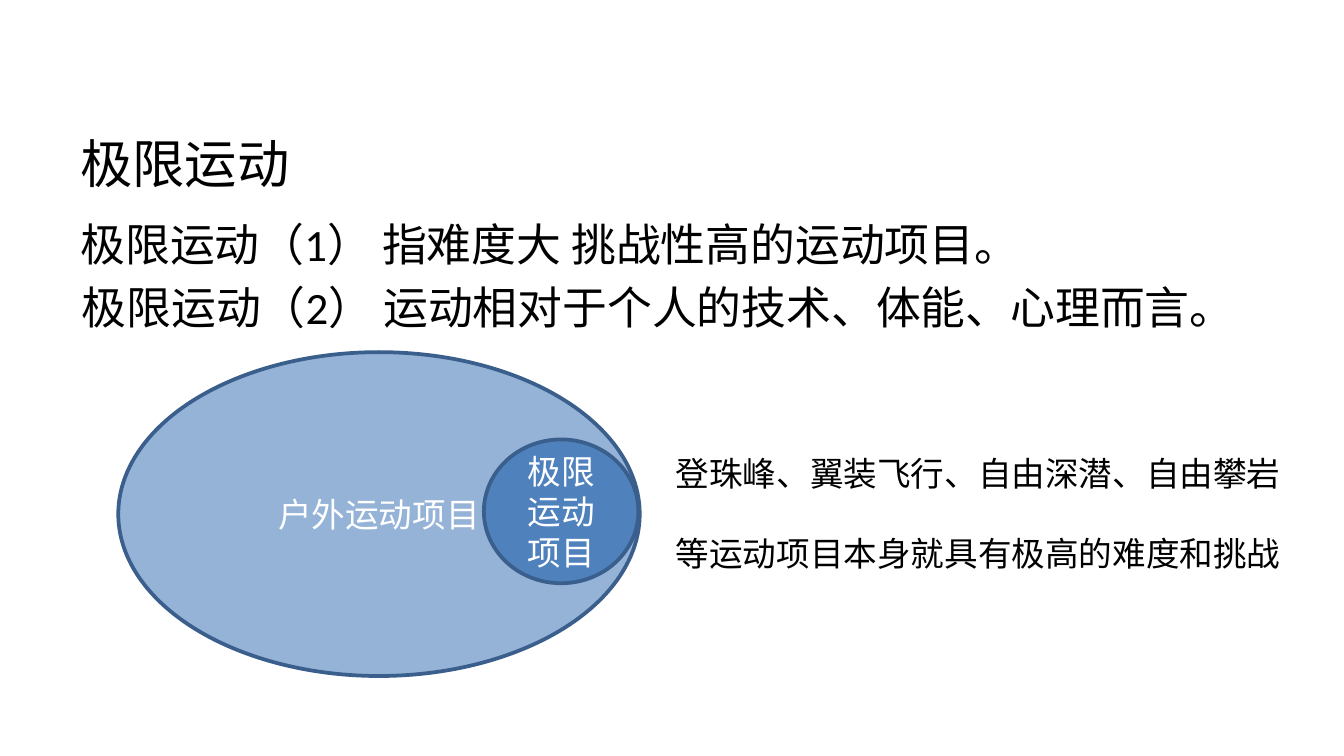
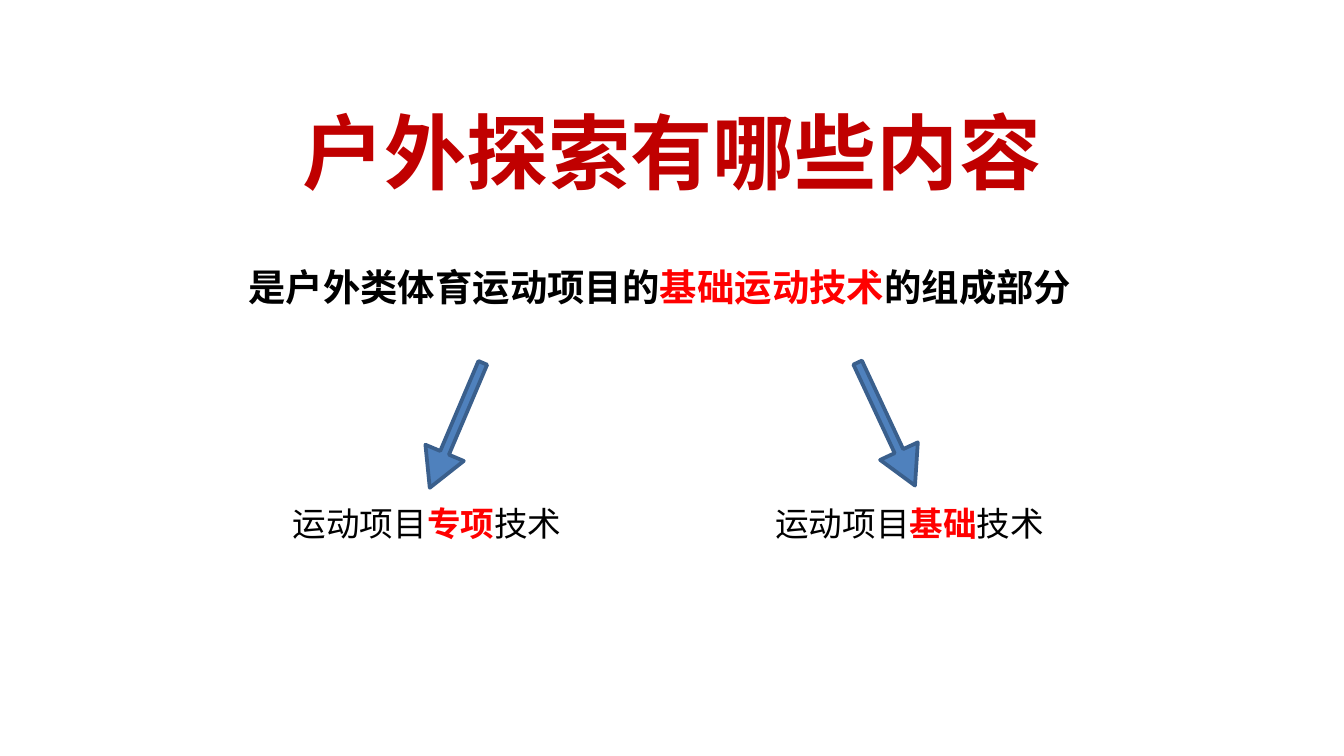
from pptx import Presentation
from pptx.dml.color import RGBColor
from pptx.enum.lang import MSO_LANGUAGE_ID
from pptx.enum.shapes import MSO_SHAPE
from pptx.enum.text import MSO_ANCHOR, MSO_AUTO_SIZE, PP_ALIGN
from pptx.oxml.ns import qn
from pptx.util import Inches, Pt

LEFT, CENTER = PP_ALIGN.LEFT, PP_ALIGN.CENTER
MIDDLE = MSO_ANCHOR.MIDDLE
FIT_SHAPE, FIT_NONE = MSO_AUTO_SIZE.SHAPE_TO_FIT_TEXT, MSO_AUTO_SIZE.NONE
OVAL, DOWN_ARROW = MSO_SHAPE.OVAL, MSO_SHAPE.DOWN_ARROW
CHINESE = MSO_LANGUAGE_ID.SIMPLIFIED_CHINESE

BLACK = RGBColor(0x00, 0x00, 0x00)
WHITE = RGBColor(0xFF, 0xFF, 0xFF)
RED = RGBColor(0xFF, 0x00, 0x00)
DARK_RED = RGBColor(0xC0, 0x00, 0x00)
BLUE = RGBColor(0x4F, 0x81, 0xBD)
LIGHT_BLUE = RGBColor(0x95, 0xB3, 0xD7)
OUTLINE = RGBColor(0x3A, 0x5F, 0x8C)

CALIBRI = "Calibri"
NOTO_SC = "Noto Sans CJK SC"
NOTO_JP = "Noto Sans CJK JP"
TITLE_ONLY = 5
SLIDE_WIDTH = Inches(10)
SLIDE_HEIGHT = SLIDE_WIDTH * 9 // 16


def write(frame, paragraphs, size=18, font=CALIBRI, color=BLACK, bold=False,
          align=LEFT, gap=0):
    """Fill a frame; each paragraph is a list of (text, format changes)."""
    for index, spans in enumerate(paragraphs):
        para = frame.paragraphs[0] if index == 0 else frame.add_paragraph()
        para.alignment = align
        if index:
            para.space_before = Pt(gap)
        for text, changes in spans:
            span = para.add_run()
            span.text = text
            span.font.size = Pt(size)
            span.font.name = font
            span.font.bold = changes.get("bold", bold)
            span.font.color.rgb = changes.get("color", color)
            span.font.language_id = CHINESE
            east_asian = span.font._element.makeelement(qn("a:ea"), {"typeface": font})
            span.font._element.find(qn("a:latin")).addnext(east_asian)


def plain(*lines):
    return [[(line, {})] for line in lines]


def highlighted(before, key, after):
    return [[(before, {}), (key, {"color": RED, "bold": True}), (after, {})]]


class SlideBuilder:
    def __init__(self):
        self.deck = Presentation()
        self.deck.slide_width = SLIDE_WIDTH
        self.deck.slide_height = SLIDE_HEIGHT
        self.page = None

    def new_page(self, title, top, **style):
        self.page = self.deck.slides.add_slide(self.deck.slide_layouts[TITLE_ONLY])
        holder = self.page.shapes.title
        holder.left, holder.top = Inches(0.5), Inches(top)
        holder.width, holder.height = Inches(9), Inches(0.94)
        holder.text_frame.vertical_anchor = MIDDLE
        holder.text_frame.auto_size = FIT_NONE
        write(holder.text_frame, plain(title), **style)

    def text(self, paragraphs, left, top, width, height, wrap=False, **style):
        box = self.page.shapes.add_textbox(
            Inches(left), Inches(top), Inches(width), Inches(height))
        box.text_frame.word_wrap = wrap
        box.text_frame.auto_size = FIT_SHAPE
        write(box.text_frame, paragraphs, **style)

    def shape(self, kind, left, top, width, height, fill=BLUE):
        shape = self.page.shapes.add_shape(
            kind, Inches(left), Inches(top), Inches(width), Inches(height))
        shape.shadow.inherit = False
        shape.fill.solid()
        shape.fill.fore_color.rgb = fill
        shape.line.color.rgb = OUTLINE
        shape.line.width = Pt(2)
        return shape

    def ellipse(self, label, left, top, width, height, fill):
        frame = self.shape(OVAL, left, top, width, height, fill).text_frame
        frame.word_wrap = True
        frame.vertical_anchor = MIDDLE
        write(frame, plain(label), color=WHITE, align=CENTER)

    def arrow(self, left, top, rotation):
        arrow = self.shape(DOWN_ARROW, left, top, 0.31, 1.01)
        arrow.adjustments[0] = 0.227
        arrow.adjustments[1] = 0.912
        arrow.rotation = rotation


def extreme_sports(builder):
    builder.new_page("极限运动", 0.74, size=28)
    # Nested sets
    builder.ellipse("户外运动项目", 0.88, 2.62, 3.88, 2.41, LIGHT_BLUE)
    builder.ellipse("极限运动项目", 3.6, 3.27, 1.15, 1.07, BLUE)
    # Two meanings and examples
    builder.text(plain("极限运动（1） 指难度大 挑战性高的运动项目。"),
                 0.5, 1.56, 7.25, 0.5, size=24)
    builder.text(plain("登珠峰、翼装飞行、自由深潜、自由攀岩",
                       "等运动项目本身就具有极高的难度和挑战"),
                 4.93, 3.32, 4.7, 1.01, gap=21.5)
    builder.text(plain("极限运动（2） 运动相对于个人的技术、体能、心理而言。"),
                 0.51, 2.03, 8.86, 0.5, size=24)


def exploration_content(builder):
    builder.new_page("户外探索有哪些内容", 0.65, size=44, font=NOTO_SC,
                     color=DARK_RED, bold=True, align=CENTER)
    builder.text(highlighted("是户外类体育运动项目的", "基础运动技术", "的组成部分"),
                 1.75, 1.92, 6.61, 0.44, wrap=True, size=20, font=NOTO_JP, bold=True)
    # Two branches
    branches = [("专项", 2.08, (3.24, 2.66, 23)), ("基础", 5.67, (6.44, 2.65, 335))]
    for key, left, arrow in branches:
        builder.arrow(*arrow)
        builder.text(highlighted("运动项目", key, "技术"),
                     left, 3.69, 2.25, 0.4, wrap=True, font=NOTO_JP)


def main():
    builder = SlideBuilder()
    extreme_sports(builder)
    exploration_content(builder)
    builder.deck.save("out.pptx")


if __name__ == "__main__":
    main()
